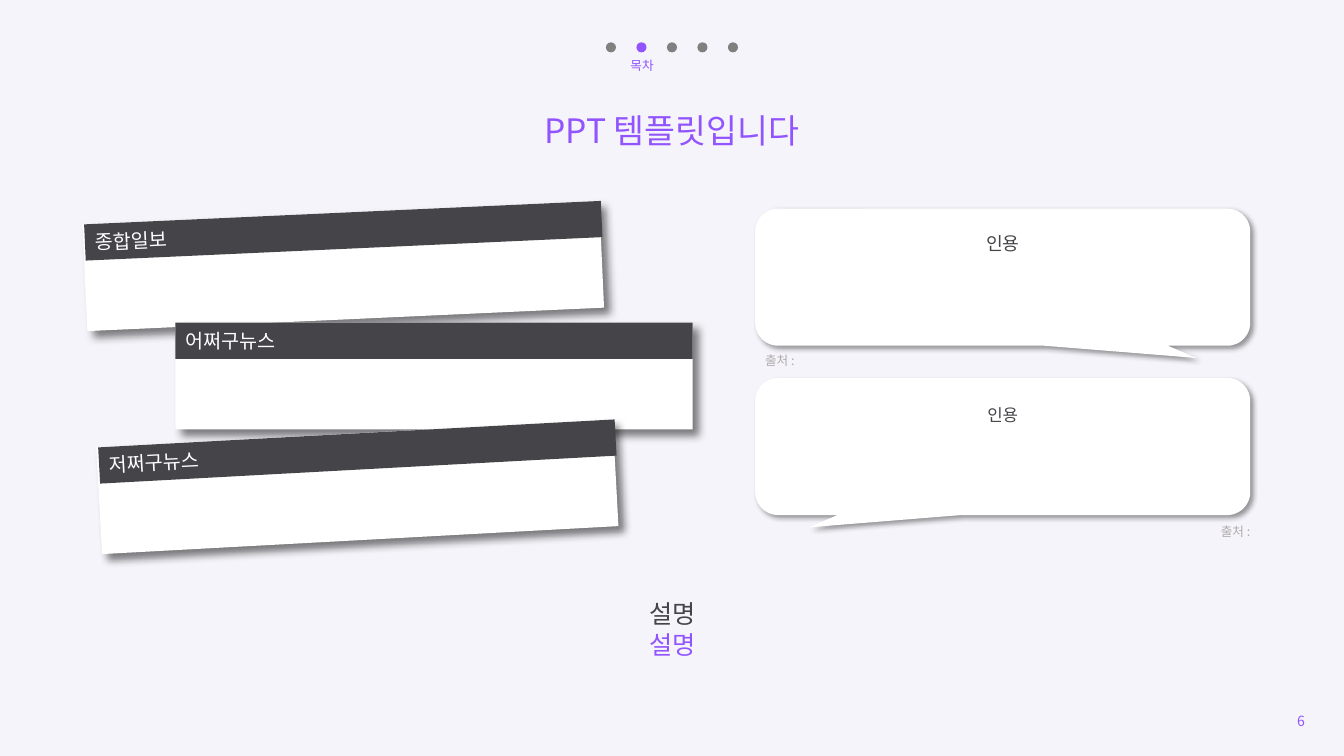
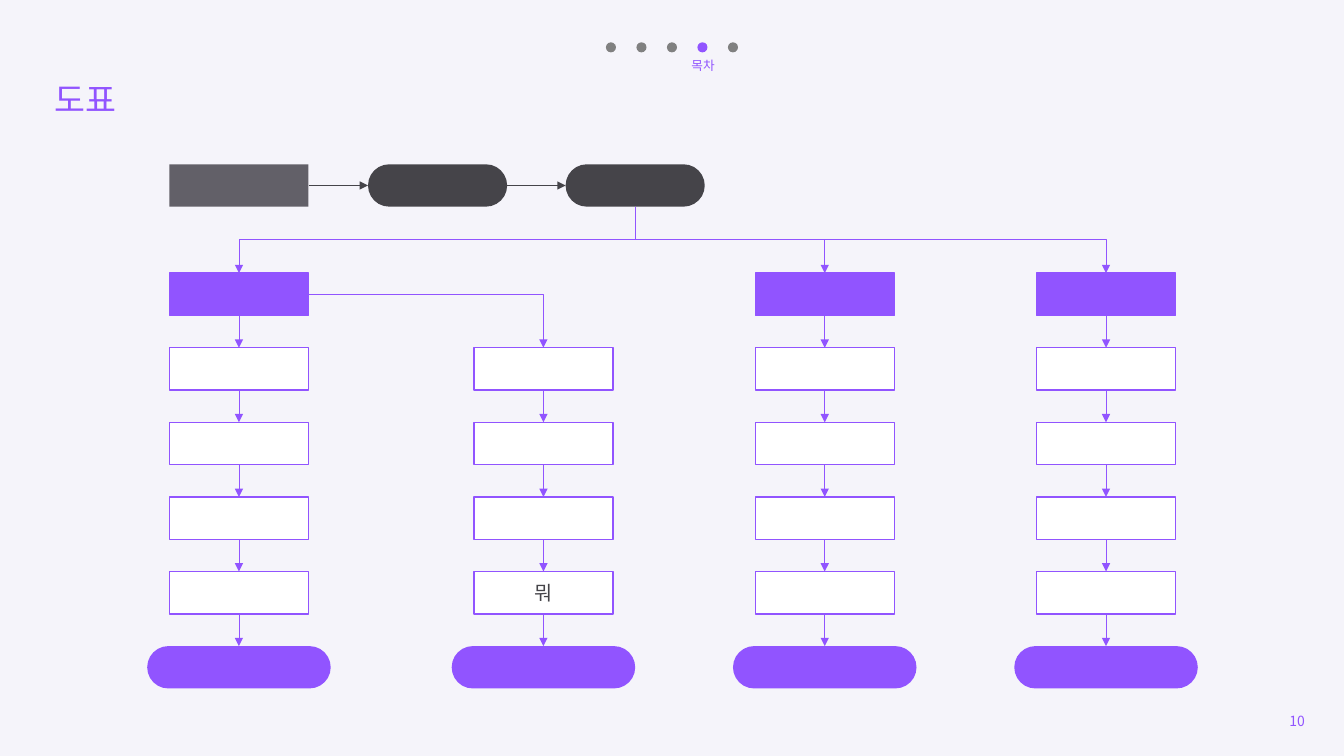
import lxml.etree
import pptx
import pptx.dml.color
import pptx.enum.shapes
import pptx.enum.text
import pptx.oxml.ns
import pptx.util

Inches = pptx.util.Inches
Pt = pptx.util.Pt
RGB = pptx.dml.color.RGBColor
Form = pptx.enum.shapes.MSO_SHAPE
Wire = pptx.enum.shapes.MSO_CONNECTOR
Align = pptx.enum.text.PP_ALIGN
Anchor = pptx.enum.text.MSO_ANCHOR
Fit = pptx.enum.text.MSO_AUTO_SIZE
qn = pptx.oxml.ns.qn

FONT = "Noto Sans CJK KR"
PAPER = RGB(0xF5, 0xF4, 0xFA)
VIOLET = RGB(0x91, 0x54, 0xFF)
DARK = RGB(0x45, 0x44, 0x49)
SLATE = RGB(0x62, 0x60, 0x68)
GRAY = RGB(0x80, 0x80, 0x80)
PALE = RGB(0xAF, 0xAB, 0xAB)
WHITE = RGB(0xFF, 0xFF, 0xFF)


def apply(thing, form):
    for key, value in form.items():
        setattr(thing, key, value)


class Deck:
    """Hold the shared style and the current slide."""

    def __init__(self):
        self.show = pptx.Presentation()
        apply(self.show, {"slide_width": Inches(13.33), "slide_height": Inches(7.5)})
        fill = self.show.slide_master.background.fill
        fill.solid()
        fill.fore_color.rgb = PAPER

    def start(self, title, place, align, page, step):
        self.slide = self.show.slides.add_slide(self.show.slide_layouts[5])
        head = self.slide.shapes.title
        apply(head, dict(zip(("left", "top", "width", "height"), map(Inches, place))))
        self.letter(head, [(title, VIOLET)], 24, align)
        for spot in range(5):
            left = 6.01 + 1.21 * spot / 4
            self.shape(Form.OVAL, (left, 0.42, 0.1, 0.1), VIOLET if spot == step else GRAY)
            if spot == step:
                self.label([("목차", VIOLET)], (left - 0.64, 0.52, 1.39, 0.25), 9)
        self.label([(page, VIOLET)], (10.04, 6.95, 3, 0.4), 10, Align.RIGHT, Anchor.MIDDLE)

    def letter(self, shape, lines, size, align=Align.CENTER, anchor=Anchor.TOP):
        frame = shape.text_frame
        apply(frame, {"word_wrap": True, "auto_size": Fit.NONE, "vertical_anchor": anchor})
        for num, (text, color) in enumerate(lines):
            para = frame.add_paragraph() if num else frame.paragraphs[0]
            para.alignment = align
            run = para.add_run()
            run.text = text
            apply(run.font, {"size": Pt(size), "name": FONT})
            run.font.color.rgb = color
            east = lxml.etree.SubElement(run.font._element, qn("a:ea"))
            east.set("typeface", FONT)

    def label(self, lines, place, size, align=Align.CENTER, anchor=Anchor.TOP):
        box = self.slide.shapes.add_textbox(*map(Inches, place))
        self.letter(box, lines, size, align, anchor)

    def shape(self, form, place, color, edge=None, turn=0):
        shape = self.slide.shapes.add_shape(form, *map(Inches, place))
        apply(shape, {"rotation": turn})
        shape.shadow.inherit = False
        shape.fill.solid()
        shape.fill.fore_color.rgb = color
        if edge is None:
            shape.line.fill.background()
        else:
            shape.line.color.rgb = edge
            shape.line.width = Pt(1)
        return shape

    def pill(self, place, color):
        pill = self.shape(Form.ROUNDED_RECTANGLE, place, color)
        pill.adjustments[0] = 0.5
        return pill

    def shade(self, shape, depth, blur, far):
        group = shape._element.spPr.find(qn("a:effectLst"))
        cast = lxml.etree.SubElement(group, qn("a:outerShdw"))
        form = {"blurRad": Pt(blur), "dist": Pt(far), "dir": 45 * 60000,
                "algn": "tl", "rotWithShape": 0}
        for key, value in form.items():
            cast.set(key, str(int(value) if key != "algn" else value))
        tint = lxml.etree.SubElement(cast, qn("a:srgbClr"), val="000000")
        lxml.etree.SubElement(tint, qn("a:alpha"), val=str(depth * 1000))

    def card(self, text, left, top, turn):
        body = self.shape(Form.RECTANGLE, (left, top, 5.13, 1.06), WHITE, turn=turn)
        self.shade(body, 49, 6, 6)
        band = self.shape(Form.RECTANGLE, (left, top, 5.13, 0.36), DARK, turn=turn)
        self.letter(band, [(text, WHITE)], 14, Align.LEFT, Anchor.MIDDLE)

    def quote(self, top, drop, size, flip=False):
        bubble = self.shape(Form.ROUNDED_RECTANGULAR_CALLOUT, (7.49, top, 4.91, 1.36), WHITE)
        for num, value in enumerate((0.392, 0.59, 0.167)):
            bubble.adjustments[num] = value
        if flip:
            bubble._element.spPr.xfrm.set("flipH", "1")
        self.shade(bubble, 40, 4, 3)
        self.label([("인용", DARK)], (7.49, top + drop, 4.91, 0.32), size)

    def wire(self, kind, start, end, color=VIOLET):
        wire = self.slide.shapes.add_connector(kind, *map(Inches, start + end))
        wire.line.color.rgb = color
        wire.line.width = Pt(0.5)
        props = wire._element.spPr
        lxml.etree.SubElement(props.find(qn("a:ln")), qn("a:tailEnd"), type="triangle")
        lxml.etree.SubElement(props, qn("a:effectLst"))
        return wire

    def join(self, first, out, last, into, color=VIOLET):
        wire = self.wire(Wire.STRAIGHT, (0, 0), (1, 1), color)
        wire.begin_connect(first, out)
        wire.end_connect(last, into)

    def fork(self, start, end):
        mid, level = (start[0] + end[0]) / 2, (start[1] + end[1]) / 2
        high, wide = (end[1] - start[1]) / 2, abs(end[0] - start[0]) / 2
        right = end[0] > start[0]
        side = high if right else -high
        wire = self.wire(Wire.ELBOW, (mid + side, level - wide), (mid - side, level + wide))
        wire._element.spPr.xfrm.set("rot", str((270 if right else 90) * 60000))

    def bend(self, start, end):
        wire = self.wire(Wire.ELBOW, start, end)
        wire._element.spPr.find(qn("a:prstGeom")).set("prst", "bentConnector2")


def news(deck):
    deck.start("PPT 템플릿입니다", (3.27, 1.04, 6.79, 0.5), Align.CENTER, "6", 1)
    deck.quote(2.07, 0.19, 13)
    deck.quote(3.75, 0.22, 12, True)
    deck.label([("출처 :", PALE)], (7.49, 3.45, 5, 0.25), 9, Align.LEFT)
    deck.label([("출처 :", PALE)], (7.5, 5.15, 5, 0.25), 9, Align.RIGHT)
    deck.card("종합일보", 0.84, 2.11, -2.6)
    deck.card("어쩌구뉴스", 1.74, 3.2, 0)
    deck.card("저쩌구뉴스", 0.98, 4.3, -3.1)
    deck.label([("설명", DARK), ("설명", VIOLET)], (3.45, 5.89, 6.44, 0.71), 18)


def chart(deck):
    deck.start("도표", (0.44, 0.73, 3.73, 0.5), Align.LEFT, "10", 3)
    wide, high, first, step = 1.38, 0.42, 2.71, 0.74
    cols = (1.68, 4.7, 7.49, 10.28)
    root = deck.shape(Form.RECTANGLE, (cols[0], 1.63, wide, high), SLATE)
    for left in (3.65, 5.61):
        pill = deck.pill((left, 1.63, wide, high), DARK)
        deck.join(root, 3, pill, 1, DARK)
        root = pill
    for col, left in enumerate(cols):
        prior = None
        for row in range(1 if col == 1 else 0, 6):
            top = first + step * row
            if row == 5:
                box = deck.pill((left - 0.22, top, 1.82, high), VIOLET)
            else:
                color = WHITE if row else VIOLET
                box = deck.shape(Form.RECTANGLE, (left, top, wide, high), color, VIOLET)
            if (col, row) == (1, 4):
                deck.letter(box, [("뭐", DARK)], 14, anchor=Anchor.MIDDLE)
            if prior is not None:
                deck.join(prior, 2, box, 0)
            prior = box
        if col != 1:
            deck.fork((6.3, 2.05), (left + wide / 2, first))
    deck.bend((cols[0] + wide, first + high / 2), (cols[1] + wide / 2, first + step))


def main():
    deck = Deck()
    news(deck)
    chart(deck)
    deck.show.save("out.pptx")


if __name__ == "__main__":
    main()
